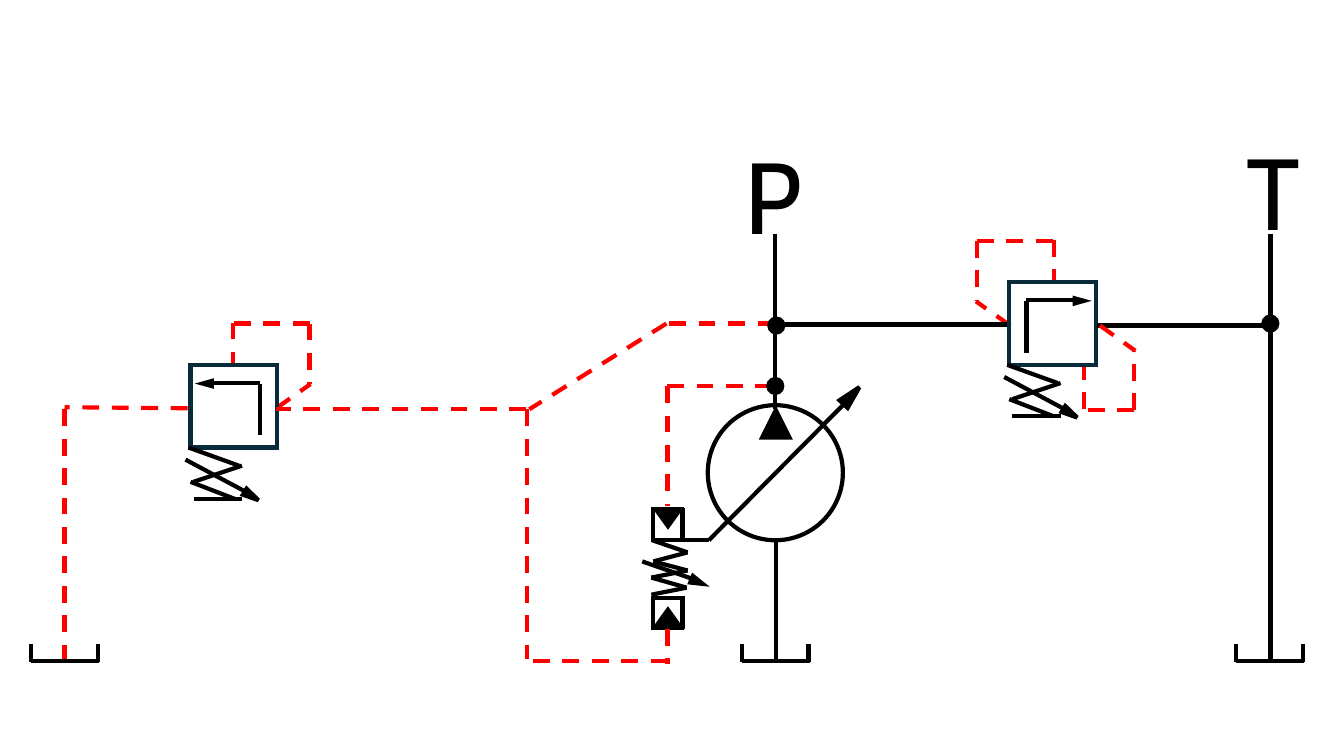
import pptx
import pptx.util
import pptx.dml.color
import pptx.enum.dml
import pptx.enum.shapes
import pptx.enum.text
import pptx.oxml
import pptx.oxml.ns
from pptx.util import Inches

BLACK, RED, NAVY = "000000", "FF0000", "092A39"


def rgb(value):
    return pptx.dml.color.RGBColor.from_string(value)


def add_element(parent, tag):
    ns = pptx.oxml.ns.nsdecls("a")
    parent.append(pptx.oxml.parse_xml(f"<a:{tag} {ns}/>"))


class Schematic:
    font = "Cabin"
    weight = 3

    def __init__(self, s):
        self.s = s

    def label(self, text, x, y):
        sp = self.s.shapes.add_textbox(Inches(x), Inches(y), Inches(0.72), Inches(1.31))
        tf = sp.text_frame
        tf.word_wrap = True
        tf.auto_size = pptx.enum.text.MSO_AUTO_SIZE.SHAPE_TO_FIT_TEXT
        r = tf.paragraphs[0].add_run()
        r.text = text
        r.font.size = pptx.util.Pt(72)
        r.font.name = self.font
        r.font.color.rgb = rgb(BLACK)

    def line(self, x1, y1, x2, y2, color=BLACK):
        kind = pptx.enum.shapes.MSO_CONNECTOR.STRAIGHT
        sp = self.s.shapes.add_connector(kind, Inches(x1), Inches(y1), Inches(x2), Inches(y2))
        sp.line.color.rgb = rgb(color)
        sp.line.width = pptx.util.Pt(self.weight)
        if color == RED:
            sp.line.dash_style = pptx.enum.dml.MSO_LINE.DASH
        add_element(sp.element.spPr, "effectLst")

    def pilot(self, x1, y1, x2, y2):
        self.line(x1, y1, x2, y2, RED)

    def shape(self, kind, x, y, w, h, fill=None, color=BLACK, weight=3, rot=0):
        preset = pptx.enum.shapes.MSO_SHAPE[kind]
        sp = self.s.shapes.add_shape(preset, Inches(x), Inches(y), Inches(w), Inches(h))
        sp.shadow.inherit = False
        sp.rotation = rot
        if fill:
            sp.fill.solid()
            sp.fill.fore_color.rgb = rgb(fill)
        else:
            sp.fill.background()
        sp.line.color.rgb = rgb(color)
        sp.line.width = pptx.util.Pt(weight)
        add_element(sp.line._get_or_add_ln(), "miter")

    def triangle(self, x, y, w, h, rot=0):
        self.shape("ISOSCELES_TRIANGLE", x, y, w, h, fill=BLACK, rot=rot)

    def node(self, x, y):
        self.shape("OVAL", x, y, 0.16, 0.16, fill=BLACK, weight=1.5)

    def tank(self, x):
        self.line(x, 6.56, x + 0.67, 6.56)
        for wall in (x, x + 0.66):
            self.line(wall, 6.57, wall, 6.39)

    def relief_valve(self, cx, top, side):
        loop = [(-0.75, -0.41, -0.75, 0.19), (-0.75, -0.41, 0.01, -0.41),
                (-0.42, 0.43, -0.76, 0.19), (0.01, -0.42, 0.01, 0)]
        for x1, y1, x2, y2 in loop:
            self.pilot(cx + side * x1, top + y1, cx + side * x2, top + y2)
        self.shape("RECTANGLE", cx - 0.43, top, 0.86, 0.82, color=NAVY)
        for x1, y1, x2, y2 in [(-0.26, 0.18, 0.21, 0.18), (-0.26, 0.19, -0.26, 0.7)]:
            self.line(cx + side * x1, top + y1, cx + side * x2, top + y2)
        self.triangle(cx + side * 0.265 - 0.025, top + 0.14, 0.05, 0.09, side * 90)
        spring = [(0.05, 1, -0.45, 0.82), (0.01, 1.33, -0.43, 1.16), (0.08, 1, -0.4, 1.16),
                  (0.08, 1.33, -0.4, 1.33), (-0.48, 0.94, 0.12, 1.26)]
        for x1, y1, x2, y2 in spring:
            self.line(cx + x1, top + y1, cx + x2, top + y2)
        self.triangle(cx + 0.14, top + 1.22, 0.07, 0.16, 121.7)

    def cylinder(self, top, arrow_top, rot):
        for x in (6.48, 6.77):
            self.line(x, top - 0.01, x, top + 0.32)
        self.triangle(6.51, arrow_top, 0.23, 0.16, rot)

    def pump(self):
        self.line(8.37, 4.01, 7.03, 5.36)
        self.triangle(8.39, 3.81, 0.11, 0.23, 43.1)
        self.triangle(7.56, 4.07, 0.27, 0.27)
        self.shape("OVAL", 7.02, 4.02, 1.34, 1.34)

    def control(self):
        for y, end in [(5.05, 6.78), (5.36, 7.03), (5.93, 6.78), (6.23, 6.78)]:
            self.line(6.46, y, end, y)
        self.cylinder(5.05, 5.06, 180)
        self.cylinder(5.92, 6.05, 0)
        spring = [(6.47, 5.36), (6.82, 5.48), (6.48, 5.57), (6.82, 5.66),
                  (6.46, 5.73), (6.81, 5.83), (6.46, 5.9)]
        for start, end in zip(spring, spring[1:]):
            self.line(*start, *end)
        self.line(6.37, 5.57, 6.86, 5.74)
        self.triangle(6.88, 5.71, 0.07, 0.12, 112.6)


def main():
    prs = pptx.Presentation()
    prs.slide_width, prs.slide_height = Inches(13.33), Inches(7.5)
    d = Schematic(prs.slides.add_slide(prs.slide_layouts[6]))
    d.label("P", 7.29, 1.28)
    d.label("T", 12.26, 1.24)
    d.relief_valve(10.44, 2.8, 1)
    d.relief_valve(2.32, 3.62, -1)
    for x in (0.31, 7.36, 12.26):
        d.tank(x)

    pipes = [(7.7, 6.56, 7.7, 5.37), (7.69, 4.06, 7.69, 2.32), (7.68, 3.22, 9.99, 3.22),
             (10.88, 3.23, 12.62, 3.23), (12.6, 6.56, 12.6, 2.32)]
    for pipe in pipes:
        d.line(*pipe)
    d.control()

    pilots = [(11.25, 4.07, 11.25, 3.48), (11.25, 4.07, 10.75, 4.07),
              (10.91, 3.23, 11.26, 3.48), (10.75, 4.06, 10.75, 3.64),
              (7.68, 3.21, 6.62, 3.21), (7.66, 3.83, 6.59, 3.83),
              (6.62, 6.56, 5.24, 6.56), (5.22, 4.06, 2.74, 4.06),
              (1.86, 4.05, 0.64, 4.04), (5.23, 4.06, 5.23, 6.54),
              (0.64, 4.06, 0.64, 6.54), (6.62, 3.83, 6.62, 5.02),
              (6.61, 3.21, 5.25, 4.06), (6.62, 6.24, 6.62, 6.59)]
    for pilot in pilots:
        d.pilot(*pilot)
    d.pump()
    for x, y in [(7.61, 3.75), (7.62, 3.15), (12.52, 3.13)]:
        d.node(x, y)
    prs.save("out.pptx")


if __name__ == "__main__":
    main()
